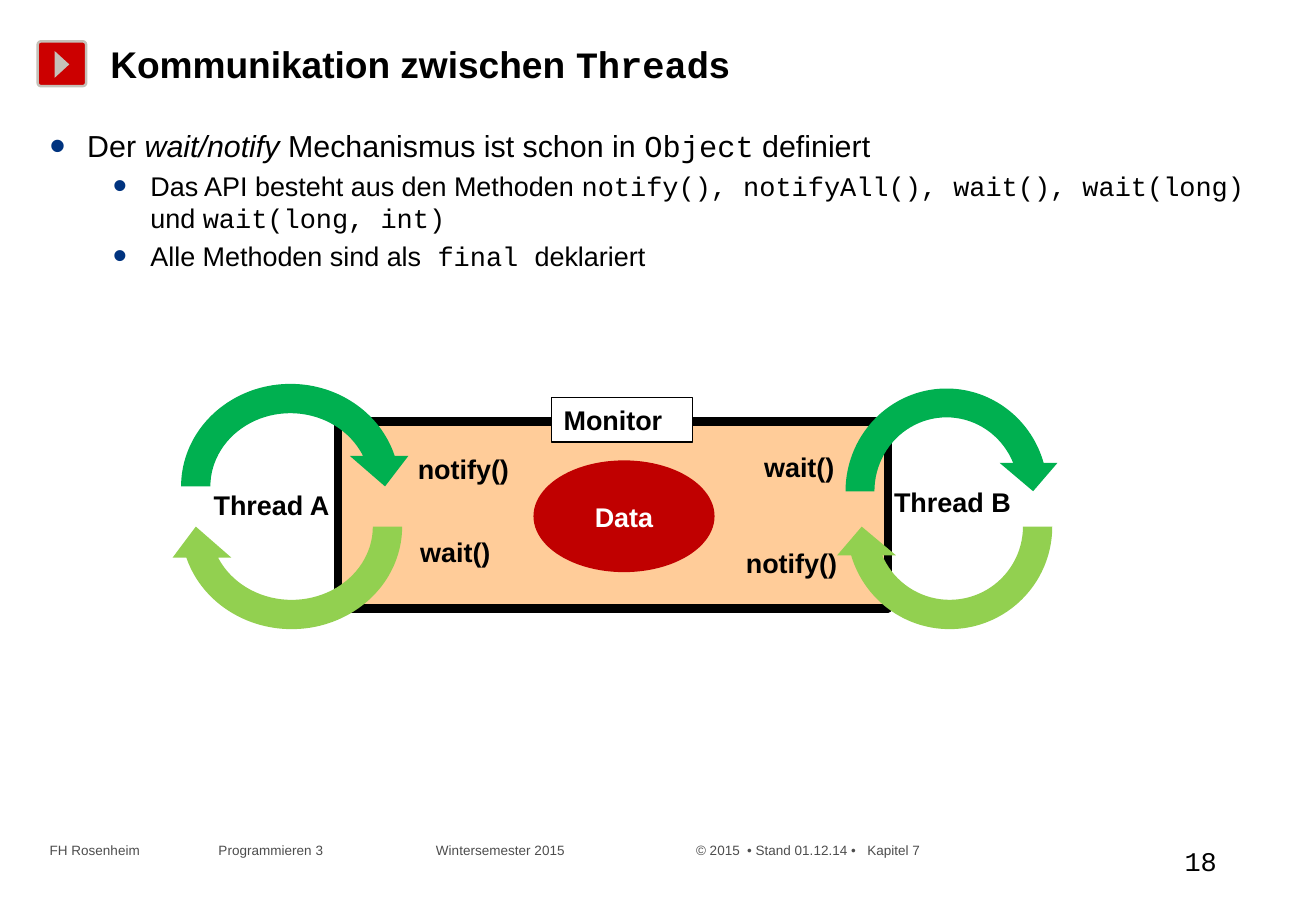
"""Build the slide on wait/notify communication between threads."""
from lxml import etree
from pptx import Presentation, util as u
from pptx.dml.color import RGBColor
from pptx.enum import shapes, text
from pptx.oxml.ns import qn

COLORS = {
    "black": "000000", "white": "FFFFFF", "gray": "4D4D4D", "silver": "C5C1B9",
    "signal": "CC0000", "bullet": "00337F", "monitor": "FFCC99", "data": "C00000",
    "enter": "00B050", "leave": "92D050",
}
SANS, MONO = "Arial", "Courier New"

deck = Presentation()
deck.slide_width, deck.slide_height = u.Inches(10.83), u.Inches(7.5)
slide = deck.slides.add_slide(deck.slide_layouts[6])


def draw(kind, at, fill, line=None, weight=1):
    """Add a preset shape with flat fill and optional outline."""
    shape = slide.shapes.add_shape(kind, *map(u.Inches, at))
    shape.shadow.inherit = False
    shape.fill.solid()
    shape.fill.fore_color.rgb = RGBColor.from_string(COLORS[fill])
    if line:
        shape.line.color.rgb = RGBColor.from_string(COLORS[line])
        shape.line.width = u.Pt(weight)
    else:
        shape.line.fill.background()
    return shape


def write(runs, at=None, into=None, size=16, font=SANS, color="black", bold=False,
          align=text.PP_ALIGN.LEFT, anchor=text.MSO_ANCHOR.TOP, before=0, add=False):
    """Write (text, font, italic) runs or a plain string as one paragraph."""
    holder = into or slide.shapes.add_textbox(*map(u.Inches, at))
    frame = holder.text_frame
    frame.word_wrap = True
    frame.vertical_anchor = anchor
    paragraph = frame.add_paragraph() if add else frame.paragraphs[0]
    paragraph.alignment = align
    paragraph.space_before = u.Pt(before)
    for words, face, italic in [(runs, font, False)] if isinstance(runs, str) else runs:
        run = paragraph.add_run()
        run.text = words
        run.font.name, run.font.size = face, u.Pt(size)
        run.font.bold, run.font.italic = bold, italic
        run.font.color.rgb = RGBColor.from_string(COLORS[color])
    return holder


preset = shapes.MSO_SHAPE
badge = draw(preset.ROUNDED_RECTANGLE, (0.31, 0.34, 0.4, 0.37), "signal", "silver", 1.5)
badge.adjustments[0] = 0.08
draw(preset.ISOSCELES_TRIANGLE, (0.4, 0.47, 0.22, 0.12), "silver").rotation = 90

write("18", (9.65, 6.88, 0.94, 0.41), font=MONO, anchor=text.MSO_ANCHOR.MIDDLE)

footer = write("FH Rosenheim\tProgrammieren 3\tWintersemester 2015\t© 2015\t"
               "• Stand 01.12.14 •\tKapitel 7",
               (0.31, 6.88, 10.27, 0.24), size=8, color="gray")
footer_format = footer.text_frame.paragraphs[0]._p.get_or_add_pPr()
tab_list = etree.SubElement(footer_format, qn("a:tabLst"))
for stop in (1.39, 3.18, 5.32, 5.74, 6.73):
    etree.SubElement(tab_list, qn("a:tab"), pos=str(u.Inches(stop)), algn="l")

write([("Kommunikation zwischen ", SANS, False), ("Thread", MONO, False), ("s", SANS, False)],
      (0.81, 0.29, 6.25, 0.47), size=22, bold=True)

points = [
    (0, [("Der ", SANS, False), ("wait/notify", SANS, True),
         (" Mechanismus ist schon in ", SANS, False), ("Object", MONO, False),
         (" definiert", SANS, False)]),
    (1, [("Das API besteht aus den Methoden ", SANS, False),
         ("notify(), notifyAll(), wait(), wait(long)", MONO, False),
         (" und ", SANS, False), ("wait(long, int)", MONO, False)]),
    (1, [("Alle Methoden sind als", SANS, False), (" final ", MONO, False),
         ("deklariert", SANS, False)]),
]
body = None
for level, runs in points:
    body = write(runs, (0.31, 1, 10.3, 5.18), into=body, add=body is not None,
                 size=18 - 2 * level, before=3.2 * level)
    paragraph = body.text_frame.paragraphs[-1]
    paragraph.level = level
    point_format = paragraph._p.get_or_add_pPr()
    point_format.set("marL", str(u.Inches((0.31, 0.83)[level])))
    point_format.set("indent", str(u.Inches(-0.31)))
    bullet_color = etree.SubElement(point_format, qn("a:buClr"))
    etree.SubElement(bullet_color, qn("a:srgbClr"), val=COLORS["bullet"])
    etree.SubElement(point_format, qn("a:buSzPct"), val="150000")
    etree.SubElement(point_format, qn("a:buFont"), typeface=SANS)
    etree.SubElement(point_format, qn("a:buChar"), char="•")

draw(preset.RECTANGLE, (2.78, 3.47, 4.53, 1.54), "monitor", "black", 5)

cycles = [
    ((1.37, 3.04, 2.04, 1.93), "enter", 0),
    ((1.37, 3.37, 2.06, 1.93), "leave", 180),
    ((6.84, 3.08, 1.9, 1.93), "enter", 0),
    ((6.85, 3.37, 1.93, 1.93), "leave", 180),
]
for at, color, turn in cycles:
    draw(preset.CIRCULAR_ARROW, at, color).rotation = turn

labels = [
    ("Thread A", 1.66, 3.97, 1.2), ("Thread B", 7.26, 3.95, 1.23),
    ("wait()", 6.19, 3.66, 0.85), ("notify()", 6.04, 4.45, 1.03),
    ("wait()", 3.36, 4.36, 0.85), ("notify()", 3.34, 3.68, 1.03),
]
for label, left, top, width in labels:
    write(label, (left, top, width, 0.37), bold=True)

data = draw(preset.OVAL, (4.39, 3.79, 1.49, 0.92), "data")
write("Data", into=data, color="white", bold=True,
      align=text.PP_ALIGN.CENTER, anchor=text.MSO_ANCHOR.MIDDLE)
monitor = draw(preset.RECTANGLE, (4.54, 3.27, 1.16, 0.37), "white", "black", 0.75)
write("Monitor", into=monitor, bold=True)

deck.save("out.pptx")
